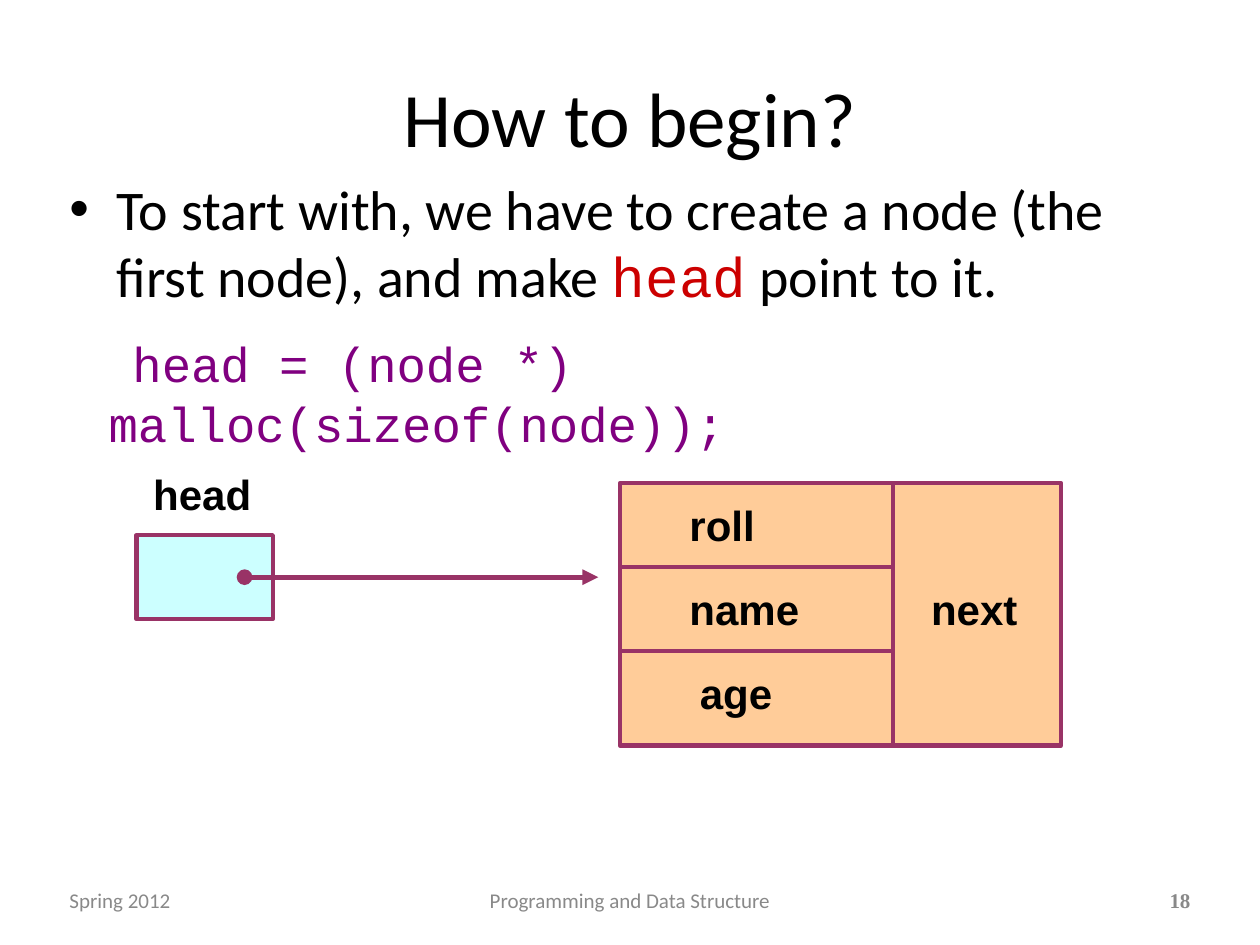
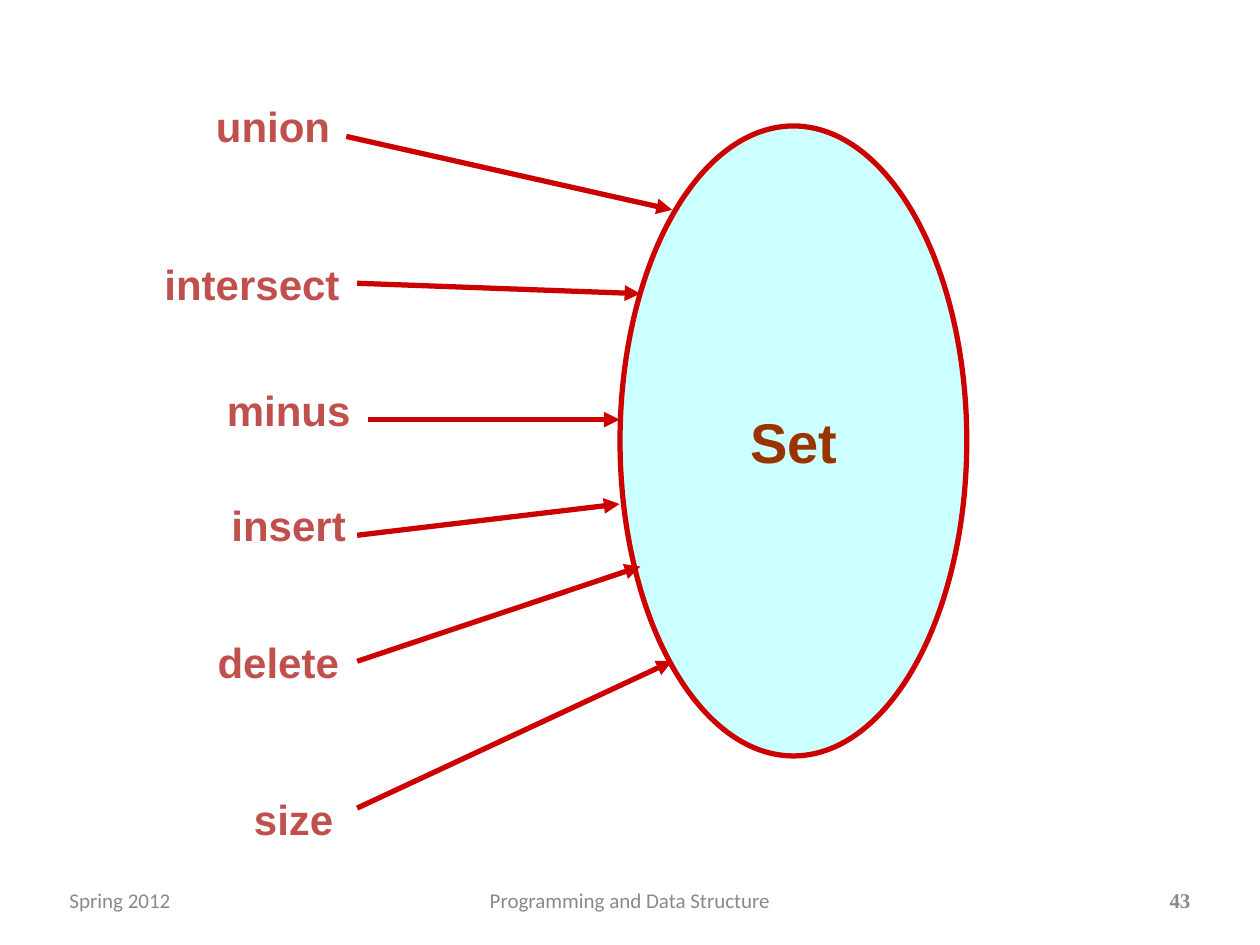
from collections import namedtuple

from lxml import etree
from pptx import Presentation
from pptx import util as u
from pptx.dml.color import RGBColor
from pptx.enum import shapes, text
from pptx.oxml import ns

BLACK = RGBColor(0x00, 0x00, 0x00)
GREY = RGBColor(0x89, 0x89, 0x89)
RED = RGBColor(0xCC, 0x00, 0x00)
PURPLE = RGBColor(0x80, 0x00, 0x80)
PLUM = RGBColor(0x99, 0x33, 0x66)
PEACH = RGBColor(0xFF, 0xCC, 0x99)
CYAN = RGBColor(0xCC, 0xFF, 0xFF)
BRICK = RGBColor(0xC0, 0x50, 0x4D)
BROWN = RGBColor(0x99, 0x33, 0x00)

LEFT, CENTER, RIGHT = text.PP_ALIGN.LEFT, text.PP_ALIGN.CENTER, text.PP_ALIGN.RIGHT
TOP, MIDDLE = text.MSO_ANCHOR.TOP, text.MSO_ANCHOR.MIDDLE
INSET = 0.13
LABEL_HEIGHT = 1.22
ROW_HEIGHT = 1.69

Box = namedtuple("Box", "left top width height")
TITLE_BOX = Box(1.27, 0.76, 22.86, 3.18)
BODY_BOX = Box(1.27, 3.38, 22.8, 13.13)
FOOTER_BOX = Box(1.27, 17.78, 22.86, 0.74)


def within(box, left, top, width, height):
    return Box(box.left + left, box.top + top, width, height)


def lengths(box):
    return [u.Cm(value) for value in box]


def add_span(para, words, font="Arial", size=24, color=BLACK, bold=False):
    span = para.add_run()
    span.text = words
    span.font.name = font
    span.font.size = u.Pt(size)
    span.font.color.rgb = color
    span.font.bold = bold


def prepare_frame(shape, anchor=TOP, wrap=True):
    frame = shape.text_frame
    frame.margin_left = frame.margin_right = u.Cm(INSET)
    frame.margin_top = frame.margin_bottom = u.Cm(INSET)
    frame.auto_size = text.MSO_AUTO_SIZE.NONE
    frame.word_wrap = wrap
    frame.vertical_anchor = anchor
    return frame


def add_label(page, box, words, align=LEFT, anchor=TOP, wrap=True, **style):
    frame = prepare_frame(page.shapes.add_textbox(*lengths(box)), anchor, wrap)
    para = frame.paragraphs[0]
    para.alignment = align
    add_span(para, words, **style)


def add_figure(page, kind, box, fill, color, width=2.5):
    shape = page.shapes.add_shape(kind, *lengths(box))
    shape.shadow.inherit = False
    shape.fill.solid()
    shape.fill.fore_color.rgb = fill
    shape.line.color.rgb = color
    shape.line.width = u.Pt(width)


def add_line(page, box, start, end, color, width=3, head=None, tail=None):
    points = [u.Cm(origin + offset) for point in (start, end)
              for origin, offset in zip(box[:2], point)]
    line = page.shapes.add_connector(shapes.MSO_CONNECTOR.STRAIGHT, *points)
    line.line.color.rgb = color
    line.line.width = u.Pt(width)
    for tag, kind in (("a:headEnd", head), ("a:tailEnd", tail)):
        if kind:
            etree.SubElement(line.line._get_or_add_ln(), ns.qn(tag), type=kind)
    etree.SubElement(line._element.spPr, ns.qn("a:effectLst"))


def place(shape, box):
    shape.left, shape.top, shape.width, shape.height = lengths(box)


def add_title(page, box, words):
    title = page.shapes.title
    place(title, box)
    para = prepare_frame(title, MIDDLE).paragraphs[0]
    para.alignment = CENTER
    add_span(para, words, font="Calibri", size=44)


def set_list_format(para, margin, indent, before, bullet=None):
    para.space_before = u.Pt(before)
    props = para._p.get_or_add_pPr()
    props.set("marL", str(u.Cm(margin)))
    props.set("indent", str(u.Cm(indent)))
    if bullet:
        etree.SubElement(props, ns.qn("a:buChar"), char=bullet)
    else:
        etree.SubElement(props, ns.qn("a:buNone"))


def add_body(page, box):
    body = page.placeholders[1]
    place(body, box)
    frame = prepare_frame(body)

    point = frame.paragraphs[0]
    set_list_format(point, 0.95, -0.95, 7, "\u2022")
    prose = dict(font="Calibri", size=32)
    add_span(point, "To start with, we have to create a node (the first node), and make ", **prose)
    add_span(point, "head", font="Courier New", size=32, color=RED)
    add_span(point, " point to it.", **prose)

    code = frame.add_paragraph()
    code.level = 1
    code.line_spacing = u.Pt(34)
    set_list_format(code, 0.79, 0.48, 14)
    add_span(code, "head = (node *) malloc(sizeof(node));",
             font="Courier New", size=28, color=PURPLE)


def add_footer(page, box, number):
    style = dict(anchor=MIDDLE, size=12, color=GREY)
    add_label(page, within(box, 0, 0, 5.92, box.height), "Spring 2012",
              font="Calibri", **style)
    add_label(page, within(box, 7.41, 0, 8.04, box.height),
              "Programming and Data Structure", align=CENTER, font="Calibri", **style)
    add_label(page, within(box, box.width - 0.71, 0, 0.71, box.height), str(number),
              align=RIGHT, wrap=False, font="Times New Roman", bold=True, **style)


def add_node(page, box):
    divider = 5.5
    add_figure(page, shapes.MSO_SHAPE.RECTANGLE, box, PEACH, PLUM)
    add_line(page, box, (divider, 0), (divider, box.height), PLUM, 2.5)
    for row, (field, left) in enumerate((("roll", 1.27), ("name", 1.27), ("age", 1.48))):
        top = row * ROW_HEIGHT
        if row:
            add_line(page, box, (0, top), (divider, top), PLUM, 2.5)
        add_label(page, within(box, left, top + 0.21, 4.23, LABEL_HEIGHT), field, bold=True)
    add_label(page, within(box, 6.14, 1.9, 4.23, LABEL_HEIGHT), "next", bold=True)


def add_pointer(page, box):
    cell = within(box, 0, 1.48, 2.75, ROW_HEIGHT)
    add_figure(page, shapes.MSO_SHAPE.RECTANGLE, cell, CYAN, PLUM)
    middle = ROW_HEIGHT / 2
    add_line(page, cell, (2.18, middle), (box.width, middle), PLUM,
             head="oval", tail="triangle")
    add_label(page, within(box, 0.21, 0, 2.97, LABEL_HEIGHT), "head", bold=True)


def add_set_diagram(page, box):
    ellipse = within(box, 9.75, 0.64, 6.99, 12.7)
    add_figure(page, shapes.MSO_SHAPE.OVAL, ellipse, CYAN, RED, 3)
    add_label(page, within(ellipse, 2.47, 5.59, 2.06, 1.52), "Set", align=CENTER,
              anchor=MIDDLE, wrap=False, size=32, color=BROWN, bold=True)
    operations = (
        ("union", 1.06, 0, 3.39, (4.23, 0.85), (10.8, 2.33)),
        ("intersect", 0, 3.18, 4.66, (4.45, 3.81), (10.16, 4.02)),
        ("minus", 1.27, 5.72, 3.6, (4.66, 6.56), (9.74, 6.56)),
        ("insert", 1.48, 8.04, 3.18, (4.45, 8.89), (9.74, 8.26)),
        ("delete", 1.27, 10.8, 3.18, (4.45, 11.43), (10.16, 9.52)),
        ("size", 1.9, 13.97, 2.54, (4.45, 14.39), (10.8, 11.43)),
    )
    for name, left, top, width, start, end in operations:
        add_line(page, box, start, end, RED, tail="triangle")
        add_label(page, within(box, left, top, width, LABEL_HEIGHT), name,
                  align=CENTER, color=BRICK, bold=True)


def build_begin_page(deck):
    page = deck.slides.add_slide(deck.slide_layouts[1])
    add_title(page, TITLE_BOX, "How to begin?")
    add_body(page, BODY_BOX)
    add_footer(page, FOOTER_BOX, 18)
    add_node(page, Box(12.5, 9.74, 8.89, 5.29))
    add_pointer(page, Box(2.75, 9.31, 9.31, 3.17))


def build_set_page(deck):
    page = deck.slides.add_slide(deck.slide_layouts[6])
    add_footer(page, FOOTER_BOX, 43)
    add_set_diagram(page, Box(2.75, 1.9, 16.74, 15.19))


deck = Presentation()
deck.slide_width = u.Cm(25.4)
deck.slide_height = u.Cm(19.05)
build_begin_page(deck)
build_set_page(deck)
deck.save("out.pptx")
